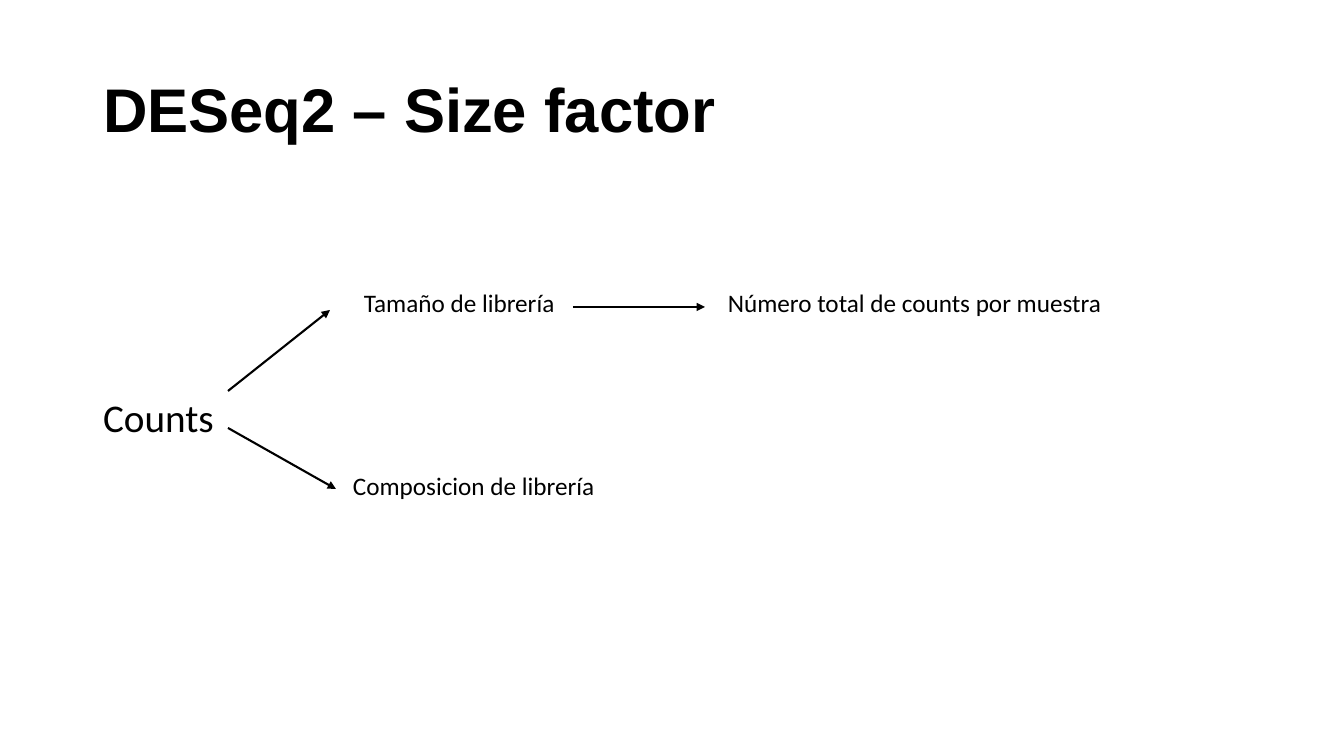
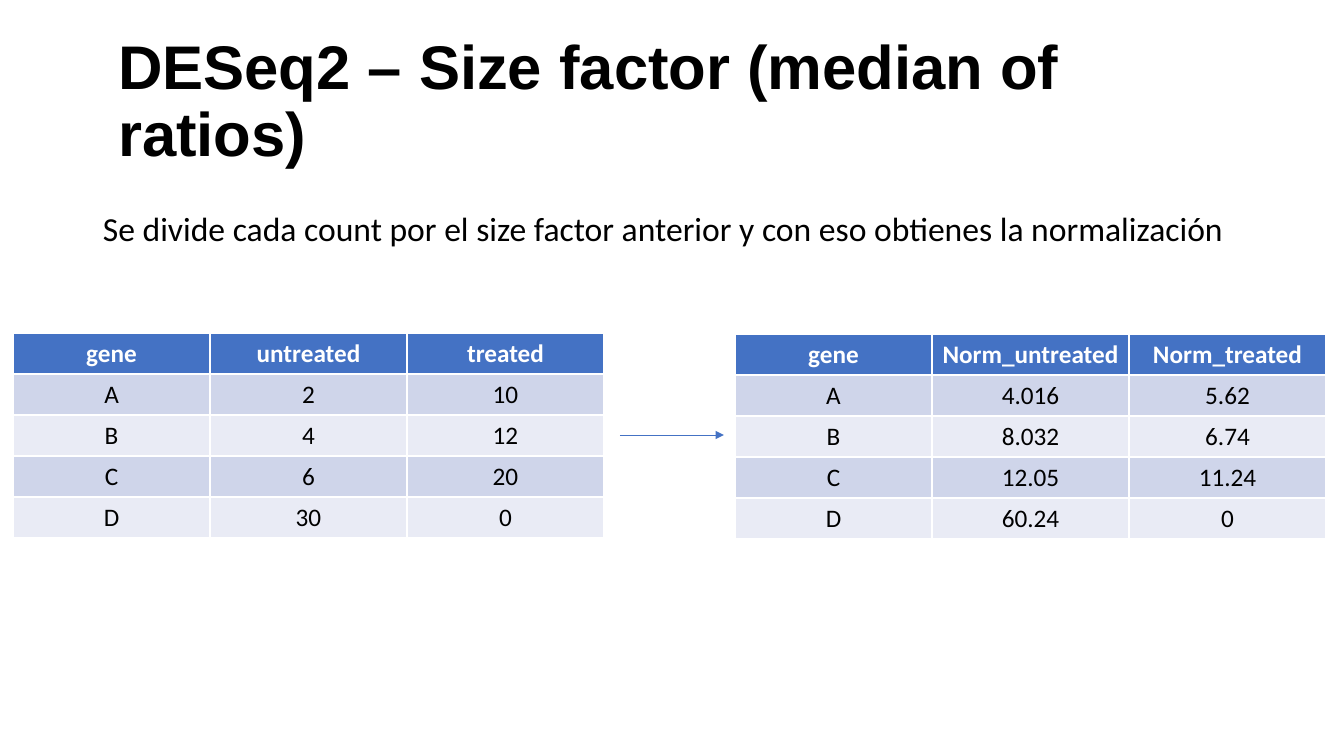
"""Build two slides on the DESeq2 size factor."""
import pptx
import pptx.dml.color
import pptx.enum.shapes
import pptx.enum.text
import pptx.oxml
import pptx.oxml.ns
import pptx.util

PX = 914400 / 100.8
COLORS = {"text": "000000", "header": "4472C4", "header_text": "FFFFFF",
          "odd_row": "CFD5EA", "even_row": "E9EBF5"}
ALIGN = pptx.enum.text.PP_ALIGN
NO_AUTOFIT = pptx.enum.text.MSO_AUTO_SIZE.NONE


def write(frame, text, size=18, font="Calibri", color="text", bold=False,
          align=ALIGN.LEFT, spacing=1.0, plain_list=False):
    paragraph = frame.paragraphs[0]
    paragraph.text = text
    if plain_list:
        properties = paragraph._p.get_or_add_pPr()
        properties.set("marL", "0")
        properties.set("indent", "0")
        properties.append(pptx.oxml.parse_xml(f'<a:buNone {pptx.oxml.ns.nsdecls("a")}/>'))
    paragraph.alignment = align
    paragraph.line_spacing = spacing
    paragraph.space_before = pptx.util.Pt(0)
    paragraph.font.size = pptx.util.Pt(size)
    paragraph.font.name = font
    paragraph.font.bold = bold
    paragraph.font.color.rgb = pptx.dml.color.RGBColor.from_string(COLORS[color])
    frame.word_wrap = True


def px(*lengths):
    return [round(length * PX) for length in lengths]


deck = pptx.Presentation()
deck.slide_width, deck.slide_height = px(1344, 756)

slides = []
for layout, left, top, heading in [
    (1, 93, 40, "DESeq2 – Size factor"),
    (5, 108, 30, "DESeq2 – Size factor (median of ratios)"),
]:
    slide = deck.slides.add_slide(deck.slide_layouts[layout])
    title = slide.shapes.title
    title.left, title.top, title.width, title.height = px(left, top, 1159, 146)
    write(title.text_frame, heading, size=44, font="Arial", bold=True, spacing=0.9)
    title.text_frame.vertical_anchor = pptx.enum.text.MSO_ANCHOR.MIDDLE
    title.text_frame.auto_size = NO_AUTOFIT
    slides.append(slide)
factors, normalization = slides

counts = factors.placeholders[1]
counts.left, counts.top, counts.width, counts.height = px(93, 394, 1159, 252)
write(counts.text_frame, "Counts", size=28, spacing=0.9, plain_list=True)
counts.text_frame.auto_size = NO_AUTOFIT

for slide, box, size, label in [
    (factors, (354, 282, 219, 40), 18, "Tamaño de librería"),
    (factors, (343, 465, 299, 40), 18, "Composicion de librería"),
    (factors, (718, 282, 411, 40), 18, "Número total de counts por muestra"),
    (normalization, (93, 203, 1164, 50), 24,
     "Se divide cada count por el size factor anterior y con eso obtienes la normalización"),
]:
    write(slide.shapes.add_textbox(*px(*box)).text_frame, label, size=size)

for slide, ends, color, width in [
    (factors, (228, 391, 330, 310), "text", 1.5),
    (factors, (228, 428, 336, 489), "text", 1.5),
    (factors, (573, 307, 705, 307), "text", 1.5),
    (normalization, (620, 435, 724, 435), "header", 0.5),
]:
    arrow = slide.shapes.add_connector(pptx.enum.shapes.MSO_CONNECTOR.STRAIGHT, *px(*ends))
    arrow.line.color.rgb = pptx.dml.color.RGBColor.from_string(COLORS[color])
    arrow.line.width = pptx.util.Pt(width)
    for parent, tag in [(arrow.line._get_or_add_ln(), 'tailEnd type="triangle"'),
                        (arrow._element.spPr, "effectLst")]:
        parent.append(pptx.oxml.parse_xml(f'<a:{tag} {pptx.oxml.ns.nsdecls("a")}/>'))

raw_counts = [("gene", "untreated", "treated"), ("A", "2", "10"), ("B", "4", "12"),
              ("C", "6", "20"), ("D", "30", "0")]
normalized_counts = [("gene", "Norm_untreated", "Norm_treated"), ("A", "4.016", "5.62"),
                     ("B", "8.032", "6.74"), ("C", "12.05", "11.24"), ("D", "60.24", "0")]
for left, top, rows in [(13, 333, raw_counts), (735, 334, normalized_counts)]:
    table = normalization.shapes.add_table(
        len(rows), len(rows[0]), *px(left, top, 197 * len(rows[0]), 41 * len(rows))).table
    for row_index, row in enumerate(rows):
        is_header = row_index == 0
        band = "header" if is_header else "odd_row" if row_index % 2 else "even_row"
        for column_index, value in enumerate(row):
            cell = table.cell(row_index, column_index)
            cell.fill.solid()
            cell.fill.fore_color.rgb = pptx.dml.color.RGBColor.from_string(COLORS[band])
            write(cell.text_frame, value, bold=is_header, align=ALIGN.CENTER,
                  color="header_text" if is_header else "text")

deck.save("out.pptx")
